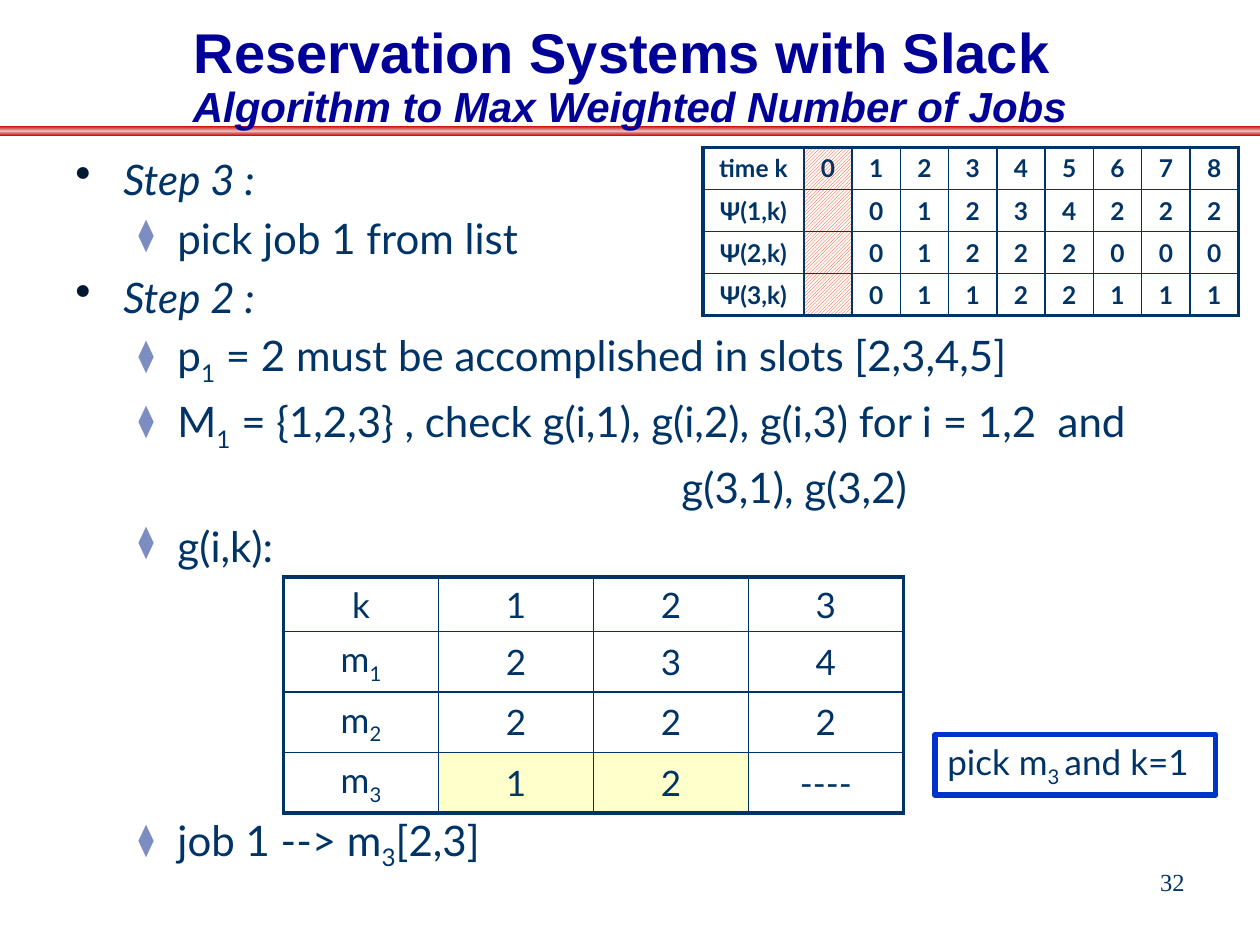
import copy

import lxml.etree
import pptx
import pptx.dml.color
import pptx.enum.dml
import pptx.enum.shapes
import pptx.enum.text
import pptx.oxml.ns
import pptx.util

Inches = pptx.util.Inches
Pt = pptx.util.Pt
ALIGN = pptx.enum.text.PP_ALIGN
ANCHOR = pptx.enum.text.MSO_ANCHOR
SHAPE = pptx.enum.shapes.MSO_SHAPE
PATTERN = pptx.enum.dml.MSO_PATTERN
NAVY = "003366"


def color(value):
    return pptx.dml.color.RGBColor.from_string(value)


def add_xml(parent, tag, **attributes):
    return lxml.etree.SubElement(parent, pptx.oxml.ns.qn(tag), attributes)


class SlideBuilder:
    """Hold the style and the current slide, and add its elements."""

    text_font = "Lato"
    outer_border, inner_border = 2.25, 1

    def __init__(self, slide):
        self.slide = slide

    def add_text(self, paragraph, text, size, name=text_font, ink=NAVY, **formats):
        for index, part in enumerate(text.split("_")):
            if not part:
                continue
            run = paragraph.add_run()
            run.text = part
            values = {"size": Pt(size), "name": name, **formats}
            for key, value in values.items():
                setattr(run.font, key, value)
            run.font.color.rgb = color(ink)
            if index % 2:
                run._r.get_or_add_rPr().set("baseline", "-25000")

    def text_box(self, left, top, width, height, anchor=ANCHOR.TOP):
        box = self.slide.shapes.add_textbox(
            Inches(left), Inches(top), Inches(width), Inches(height))
        box.text_frame.word_wrap = True
        box.text_frame.vertical_anchor = anchor
        return box.text_frame

    def shape(self, kind, left, top, width, height):
        shape = self.slide.shapes.add_shape(
            kind, Inches(left), Inches(top), Inches(width), Inches(height))
        shape.shadow.inherit = False
        return shape

    def gradient_bar(self, left, top, width, height, edge, middle):
        bar = self.shape(SHAPE.ROUNDED_RECTANGLE, left, top, width, height)
        bar.adjustments[0] = 0
        bar.line.fill.background()
        bar.fill.gradient()
        bar.fill.gradient_angle = 90
        first = bar.fill.gradient_stops[0]
        first._gs.addnext(copy.deepcopy(first._gs))
        for index, value in enumerate((edge, middle, edge)):
            stop = bar.fill.gradient_stops[index]
            stop.color.rgb = color(value)
            stop.position = index / 2

    def callout(self, left, top, width, height, text, size, border):
        box = self.shape(SHAPE.RECTANGLE, left, top, width, height)
        box.fill.background()
        box.line.color.rgb = color(border)
        box.line.width = Pt(3)
        box.text_frame.vertical_anchor = ANCHOR.TOP
        paragraph = box.text_frame.paragraphs[0]
        paragraph.alignment = ALIGN.LEFT
        self.add_text(paragraph, text, size)

    def outline(self, left, top, width, height, items, size):
        styles = {
            "step": (0.38, -0.38, "•", "001933", "108000"),
            "detail": (0.81, -0.31, "⧫", "7D8DC1", "75000"),
            "continued": (4.81, 0, None, None, None),
        }
        frame = self.text_box(left, top, width, height)
        for index, (level, text, gap) in enumerate(items):
            paragraph = frame.add_paragraph() if index else frame.paragraphs[0]
            paragraph.space_before = Pt(gap)
            margin, indent, bullet, bullet_color, bullet_size = styles[level]
            properties = paragraph._p.get_or_add_pPr()
            properties.set("marL", str(Inches(margin)))
            properties.set("indent", str(Inches(indent)))
            if bullet:
                holder = add_xml(properties, "a:buClr")
                add_xml(holder, "a:srgbClr", val=bullet_color)
                add_xml(properties, "a:buSzPct", val=bullet_size)
                add_xml(properties, "a:buChar", char=bullet)
            self.add_text(paragraph, text, size, italic=level == "step")

    def border(self, cell, side, width):
        line = add_xml(cell._tc.get_or_add_tcPr(), "a:ln" + side, w=str(Pt(width)))
        add_xml(add_xml(line, "a:solidFill"), "a:srgbClr", val=NAVY)

    def table(self, left, top, widths, row_height, rows, size, bold=False):
        table = self.slide.shapes.add_table(
            len(rows), len(widths), Inches(left), Inches(top),
            Inches(sum(widths)), Inches(row_height * len(rows))).table
        table.first_row = table.horz_banding = False
        for column, width in zip(table.columns, widths):
            column.width = Inches(width)
        last_row, last_column = len(rows) - 1, len(widths) - 1
        for row, texts in enumerate(rows):
            table.rows[row].height = Inches(row_height)
            for column, text in enumerate(texts):
                cell = table.cell(row, column)
                edges = {"L": column == 0, "R": column == last_column,
                         "T": row == 0, "B": row == last_row}
                for side, outer in edges.items():
                    self.border(cell, side, self.outer_border if outer else self.inner_border)
                cell.fill.background()
                cell.vertical_anchor = ANCHOR.MIDDLE
                paragraph = cell.text_frame.paragraphs[0]
                paragraph.alignment = ALIGN.CENTER
                self.add_text(paragraph, text, size, bold=bold)
                if not text:
                    add_xml(paragraph._p, "a:endParaRPr", sz=str(size * 100))
        return table


presentation = pptx.Presentation()
presentation.slide_width, presentation.slide_height = Inches(10), Inches(7.5)
builder = SlideBuilder(presentation.slides.add_slide(presentation.slide_layouts[6]))

builder.gradient_bar(0, 1, 10, 0.08, "CC0000", "E7BCBC")

page_number = builder.text_box(7.17, 6.83, 2.33, 0.52).paragraphs[0]
page_number.alignment = ALIGN.RIGHT
builder.add_text(page_number, "32", 14, "Times New Roman")

builder.outline(0.5, 1.17, 9.25, 6.08, [
    ("step", "Step 3 :", 4.8),
    ("detail", "pick job 1 from list", 4.8),
    ("step", "Step 2 :", 4.8),
    ("detail", "p_1_ = 2 must be accomplished in slots [2,3,4,5]", 4.8),
    ("detail", "M_1_ = {1,2,3} , check g(i,1), g(i,2), g(i,3) for i = 1,2  and", 4.8),
    ("continued", "g(3,1), g(3,2)", 4.8),
    ("detail", "g(i,k):", 4.8),
    ("detail", "job 1 --> m_3_[2,3]", 139.2),
], 24)

title = builder.text_box(0.75, 0.17, 8.5, 0.92, ANCHOR.BOTTOM).paragraphs[0]
title.alignment = ALIGN.CENTER
title.line_spacing = 0.9
builder.add_text(title, "Reservation Systems with Slack ", 32, "Arial", "000099", bold=True)
title.add_line_break()
builder.add_text(title, "Algorithm to Max Weighted Number of Jobs", 24, "Arial", "000099",
                 bold=True, italic=True)

choices = builder.table(2.25, 4.58, [1.23] * 4, 0.43, [
    ["k", "1", "2", "3"],
    ["m_1", "2", "3", "4"],
    ["m_2", "2", "2", "2"],
    ["m_3", "1", "2", "----"],
], 20)
for column in (1, 2):
    fill = choices.cell(3, column).fill
    fill.solid()
    fill.fore_color.rgb = color("FFFFCC")

builder.callout(7.42, 5.83, 2.23, 0.48, "pick m_3 _and k=1", 20, "0033CC")

slots = 9
slack = builder.table(5.58, 1.17, [0.8] + [(4.25 - 0.8) / slots] * slots, 1.33 / 4, [
    ["time k", *"012345678"],
    ["Ψ(1,k)", "", *"01234222"],
    ["Ψ(2,k)", "", *"01222000"],
    ["Ψ(3,k)", "", *"01122111"],
], 14, bold=True)
for row in range(4):
    fill = slack.cell(row, 1).fill
    fill.patterned()
    fill.pattern = PATTERN.DARK_UPWARD_DIAGONAL
    fill.fore_color.rgb = color("FF3300")
    fill.back_color.rgb = color("FFFFFF")

presentation.save("out.pptx")
